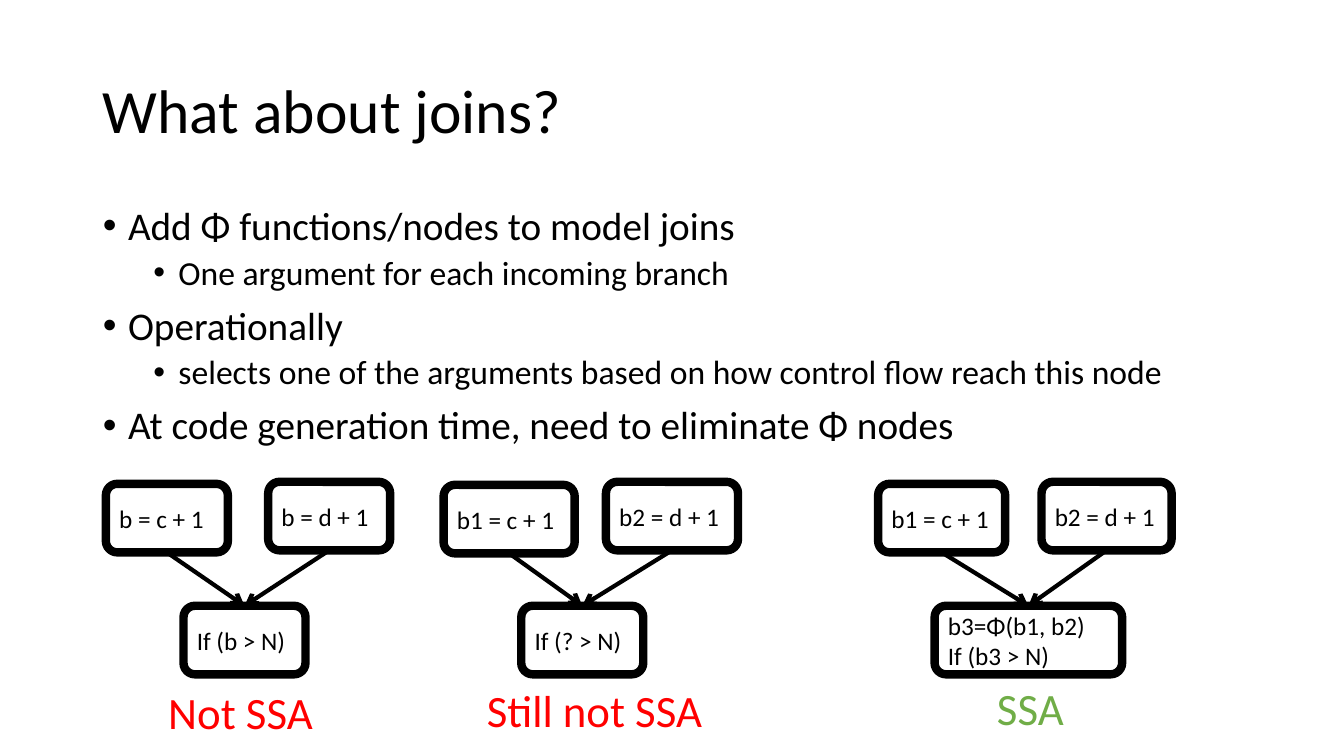
"""Build the slide on phi functions at control-flow joins."""
from dataclasses import dataclass
from typing import Any

from lxml.etree import SubElement
from pptx import Presentation
from pptx.dml.color import RGBColor as Rgb
from pptx.enum.shapes import MSO_CONNECTOR as Connector, MSO_SHAPE as Preset
from pptx.enum.text import MSO_ANCHOR as Anchor, MSO_AUTO_SIZE as AutoSize, PP_ALIGN as Align
from pptx.oxml.ns import qn
from pptx.util import Inches, Pt


@dataclass(frozen=True)
class Theme:
    font: str = "Calibri"
    ink: Rgb = Rgb(0, 0, 0)
    paper: Rgb = Rgb(255, 255, 255)
    wrong: Rgb = Rgb(255, 0, 0)
    right: Rgb = Rgb(0x70, 0xAD, 0x47)
    title: int = 44
    topic: int = 28
    detail: int = 24
    code: int = 18
    verdict: int = 32
    border: int = 6
    arrow: int = 3


@dataclass(frozen=True)
class Block:
    code: str
    left: float
    top: float
    width: float = 1.21
    height: float = 0.68


@dataclass(frozen=True)
class Join:
    branches: tuple[Block, Block]
    target: Block
    verdict: str
    verdict_box: tuple[float, float, float, float]
    color: Rgb


THEME = Theme()
TITLE_BOX = (0.92, 0.4, 11.5, 1.45)
BODY_BOX = (0.92, 2, 11.5, 2.75)
POINTS = (
    (0, "Add Φ functions/nodes to model joins"),
    (1, "One argument for each incoming branch"),
    (0, "Operationally"),
    (1, "selects one of the arguments based on how control flow reach this node"),
    (0, "At code generation time, need to eliminate Φ nodes"),
)
JOINS = (
    Join((Block("b = c + 1", 1.05, 4.8), Block("b = d + 1", 2.66, 4.78)),
         Block("If (b > N)", 1.82, 6.01),
         "Not SSA", (1.57, 6.74, 1.65, 0.64), THEME.wrong),
    Join((Block("b1 = c + 1", 4.4, 4.81, 1.3), Block("b2 = d + 1", 6.01, 4.78, 1.31)),
         Block("If (? > N)", 5.17, 6.01),
         "Still not SSA", (4.73, 6.72, 2.36, 0.64), THEME.wrong),
    Join((Block("b1 = c + 1", 8.71, 4.8, 1.26), Block("b2 = d + 1", 10.33, 4.78, 1.29)),
         Block("b3=Φ(b1, b2)\nIf (b3 > N)", 9.27, 6.01, 1.86),
         "SSA", (9.79, 6.7, 0.87, 0.64), THEME.right),
)


def apply(target: Any, formats: dict[str, Any]) -> None:
    """Set every named format value on the target."""
    for name, value in formats.items():
        setattr(target, name, value)


def place(shape: Any, box: tuple[float, float, float, float]) -> None:
    """Move and size a shape in inches."""
    apply(shape, dict(zip(("left", "top", "width", "height"), map(Inches, box))))


def style_text(paragraph: Any, size: int, color: Rgb = THEME.ink, **formats: Any) -> None:
    """Format a left-aligned paragraph and its font."""
    apply(paragraph, {"alignment": Align.LEFT, **formats})
    for run in paragraph.runs:
        apply(run.font, {"name": THEME.font, "size": Pt(size)})
        run.font.color.rgb = color


def write_title(title: Any) -> None:
    """Fill the title placeholder."""
    place(title, TITLE_BOX)
    apply(title.text_frame, {"text": "What about joins?", "vertical_anchor": Anchor.MIDDLE,
                             "auto_size": AutoSize.NONE})
    style_text(title.text_frame.paragraphs[0], THEME.title, line_spacing=0.9)


def write_points(body: Any) -> None:
    """Fill the body placeholder with the two-level list."""
    place(body, BODY_BOX)
    frame = body.text_frame
    apply(frame, {"text": "\n".join(text for _, text in POINTS), "auto_size": AutoSize.NONE})
    for paragraph, (level, _) in zip(frame.paragraphs, POINTS):
        style_text(paragraph, THEME.detail if level else THEME.topic, level=level,
                   line_spacing=0.9, space_before=Pt(5 if level else 10))
        properties = paragraph._p.get_or_add_pPr()
        properties.set("marL", str(Inches(0.25 + 0.5 * level)))
        properties.set("indent", str(Inches(-0.25)))
        SubElement(properties, qn("a:buFont"), typeface="Arial")
        SubElement(properties, qn("a:buChar"), char="•")


def draw_block(shapes: Any, block: Block) -> Any:
    """Draw a basic block holding its code."""
    box = shapes.add_shape(Preset.ROUNDED_RECTANGLE, *map(
        Inches, (block.left, block.top, block.width, block.height)))
    box.shadow.inherit = False
    box.fill.background()
    box.line.color.rgb = THEME.ink
    box.line.width = Pt(THEME.border)
    apply(box.text_frame, {"text": block.code, "word_wrap": True,
                           "vertical_anchor": Anchor.MIDDLE})
    for paragraph in box.text_frame.paragraphs:
        style_text(paragraph, THEME.code)
    return box


def draw_edge(shapes: Any, branch: Any, target: Any) -> None:
    """Draw an arrow from a branch down to the join."""
    edge = shapes.add_connector(Connector.STRAIGHT, 0, 0, 0, 0)
    edge.begin_connect(branch, 2)
    edge.end_connect(target, 0)
    edge.line.color.rgb = THEME.ink
    edge.line.width = Pt(THEME.arrow)
    SubElement(edge.line._get_or_add_ln(), qn("a:tailEnd"), type="arrow")
    SubElement(edge._element.spPr, qn("a:effectLst"))


def draw_join(shapes: Any, join: Join) -> None:
    """Draw one join graph with its verdict."""
    target = draw_block(shapes, join.target)
    for block in join.branches:
        draw_edge(shapes, draw_block(shapes, block), target)
    verdict = shapes.add_textbox(*map(Inches, join.verdict_box))
    apply(verdict.text_frame, {"text": join.verdict, "word_wrap": False,
                               "auto_size": AutoSize.SHAPE_TO_FIT_TEXT})
    style_text(verdict.text_frame.paragraphs[0], THEME.verdict, join.color)


def main() -> None:
    """Build and save the presentation."""
    deck = Presentation()
    apply(deck, {"slide_width": Inches(13.33), "slide_height": Inches(7.5)})
    slide = deck.slides.add_slide(deck.slide_layouts[1])
    slide.background.fill.solid()
    slide.background.fill.fore_color.rgb = THEME.paper
    write_title(slide.shapes.title)
    write_points(slide.placeholders[1])
    for join in JOINS:
        draw_join(slide.shapes, join)
    deck.save("out.pptx")


if __name__ == "__main__":
    main()
